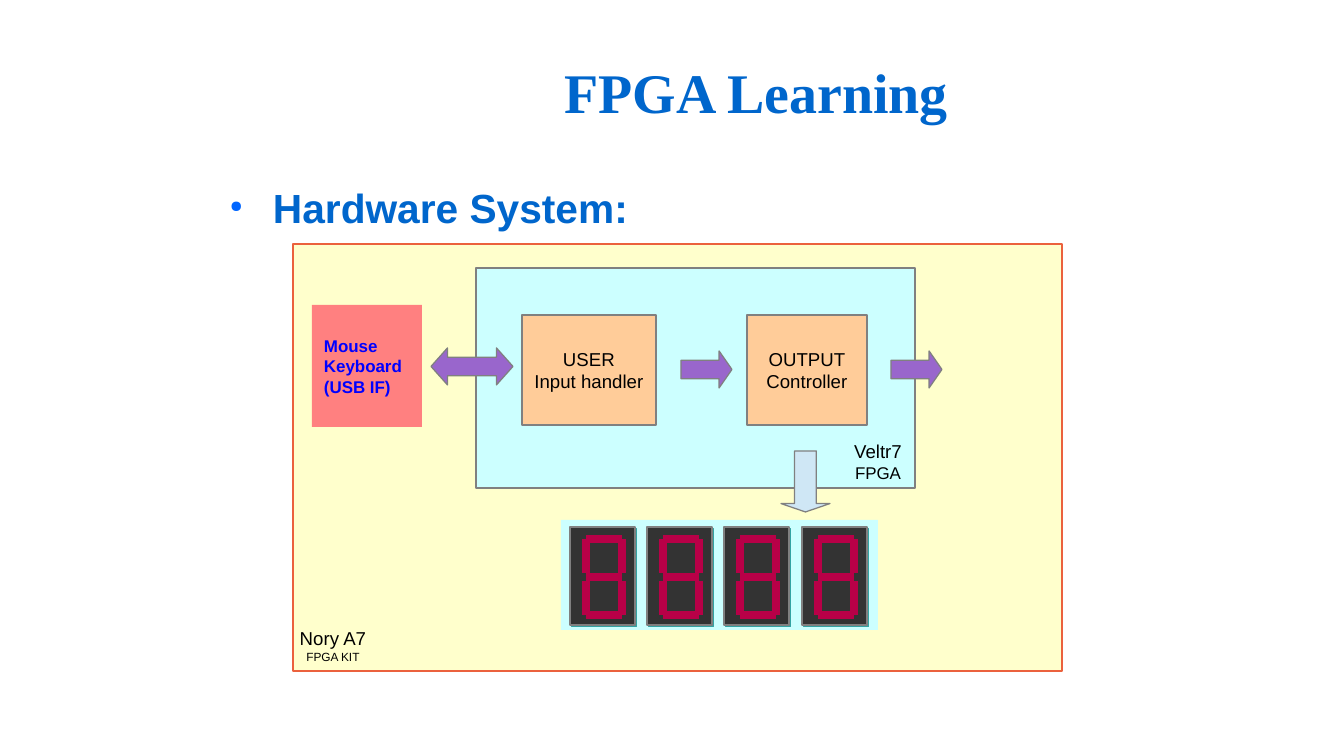
from dataclasses import dataclass

from lxml.etree import SubElement
from pptx import Presentation
from pptx.dml.color import RGBColor
from pptx.enum.shapes import MSO_CONNECTOR, MSO_SHAPE
from pptx.enum.text import MSO_ANCHOR, PP_ALIGN
from pptx.oxml.ns import qn
from pptx.shapes.autoshape import Shape
from pptx.shapes.shapetree import GroupShapes, SlideShapes
from pptx.util import Emu, Pt

EMU_PER_PX = 7495
PURPLE = "9966CC"
GREY = "808080"
CYAN = "CCFFFF"
ORANGE = "FFCC99"
TITLE_BLUE = "0066CC"
RECT = MSO_SHAPE.RECTANGLE


@dataclass
class Span:
    text: str
    size: int
    color: str = "000000"
    bold: bool = False
    font: str = "Arial"


@dataclass
class Box:
    left: int
    top: int
    width: int
    height: int
    fill: str
    line: str | None = GREY
    line_width: float = 0
    kind: MSO_SHAPE = RECT
    adjustments: tuple[float, ...] = ()
    spans: tuple[Span, ...] = ()
    align: PP_ALIGN = PP_ALIGN.CENTER


@dataclass
class Label:
    left: int
    top: int
    width: int
    height: int
    spans: tuple[Span, ...]
    align: PP_ALIGN = PP_ALIGN.CENTER
    anchor: MSO_ANCHOR = MSO_ANCHOR.TOP
    inset_x: int = 12
    inset_y: int = 6


def px(length: int) -> Emu:
    return Emu(length * EMU_PER_PX)


def rgb(color: str) -> RGBColor:
    return RGBColor.from_string(color)


def write_text(shape: Shape, spans: tuple[Span, ...], align: PP_ALIGN,
               anchor: MSO_ANCHOR, inset_x: int, inset_y: int, wrap: bool) -> None:
    frame = shape.text_frame
    frame.word_wrap = wrap
    frame.vertical_anchor = anchor
    frame.margin_left = frame.margin_right = px(inset_x)
    frame.margin_top = frame.margin_bottom = px(inset_y)
    for index, span in enumerate(spans):
        para = frame.add_paragraph() if index else frame.paragraphs[0]
        para.alignment = align
        run = para.add_run()
        run.text = span.text
        run.font.name = span.font
        run.font.size = Pt(span.size)
        run.font.bold = span.bold
        run.font.color.rgb = rgb(span.color)


def draw_box(shapes: SlideShapes | GroupShapes, box: Box) -> Shape:
    shape = shapes.add_shape(box.kind, px(box.left), px(box.top), px(box.width), px(box.height))
    shape.shadow.inherit = False
    shape.fill.solid()
    shape.fill.fore_color.rgb = rgb(box.fill)
    if box.line:
        shape.line.color.rgb = rgb(box.line)
        shape.line.width = Pt(box.line_width)
    else:
        shape.line.fill.background()
    for index, value in enumerate(box.adjustments):
        shape.adjustments[index] = value
    if box.spans:
        write_text(shape, box.spans, box.align, MSO_ANCHOR.MIDDLE, 12, 6, False)
    return shape


def draw_label(shapes: SlideShapes, label: Label) -> Shape:
    shape = shapes.add_textbox(px(label.left), px(label.top), px(label.width), px(label.height))
    write_text(shape, label.spans, label.align, label.anchor, label.inset_x, label.inset_y, True)
    return shape


def add_bullet(shape: Shape) -> None:
    para = shape.text_frame.paragraphs[0]
    para.space_after = Pt(10.6)
    properties = para._p.get_or_add_pPr()
    properties.set("marL", str(px(57)))
    properties.set("indent", str(px(-43)))
    color = SubElement(properties, qn("a:buClr"))
    SubElement(color, qn("a:srgbClr"), val="0066FF")
    SubElement(properties, qn("a:buSzPct"), val="40000")
    SubElement(properties, qn("a:buChar"), char="●")


def add_hard_shadow(shape: Shape) -> None:
    effects = shape._element.spPr.find(qn("a:effectLst"))
    shadow = SubElement(effects, qn("a:outerShdw"), blurRad="0", dist=str(Pt(1.4)), dir="2700000")
    SubElement(shadow, qn("a:srgbClr"), val="33A3A3")


def draw_digit(shapes: GroupShapes, left: int, top: int) -> None:
    add_hard_shadow(draw_box(shapes, Box(left, top, 65, 98, "333333")))
    near, far = 16, 52
    bars = [(near, y, far, y) for y in (12, 50, 88)]
    posts = [(x, start, x, end) for start, end in ((12, 46), (54, 88)) for x in (near, far)]
    for x1, y1, x2, y2 in bars + posts:
        segment = shapes.add_connector(MSO_CONNECTOR.STRAIGHT, px(left + x1), px(top + y1),
                                       px(left + x2), px(top + y2))
        segment.line.color.rgb = rgb("B80047")
        segment.line.width = Pt(4.5)
        SubElement(segment._element.spPr, qn("a:effectLst"))


def output_arrow(left: int) -> Box:
    return Box(left, 351, 51, 37, PURPLE, kind=MSO_SHAPE.RIGHT_ARROW, adjustments=(0.5, 0.348))


def main() -> None:
    deck = Presentation()
    deck.slide_width, deck.slide_height = px(1344), px(756)
    page = deck.slides.add_slide(deck.slide_layouts[6])
    shapes = page.shapes

    draw_box(shapes, Box(293, 244, 769, 427, "FFFFCC", "EB613D", 1.5))
    draw_label(shapes, Label(
        216, 29, 1081, 124,
        (Span("FPGA Learning", 33, TITLE_BLUE, True, "Times New Roman"),),
        anchor=MSO_ANCHOR.MIDDLE, inset_x=0, inset_y=0))
    add_bullet(draw_label(shapes, Label(
        216, 183, 1081, 439, (Span("Hardware System:", 24, TITLE_BLUE, True),),
        align=PP_ALIGN.LEFT, inset_x=0, inset_y=0)))

    usb_lines = tuple(Span(text, 10, "0000FF", True) for text in ("Mouse", "Keyboard", "(USB IF)"))
    boxes = [
        Box(476, 268, 439, 220, CYAN),
        Box(312, 305, 110, 122, "FF8080", None, spans=usb_lines, align=PP_ALIGN.LEFT),
        Box(747, 315, 120, 110, ORANGE, spans=(Span("OUTPUT", 11), Span("Controller", 11))),
        Box(431, 348, 82, 37, PURPLE, kind=MSO_SHAPE.LEFT_RIGHT_ARROW, adjustments=(0.5, 0.446)),
        Box(522, 315, 134, 110, ORANGE, spans=(Span("USER", 11), Span("Input handler", 11))),
        output_arrow(681),
        output_arrow(891),
        Box(781, 451, 49, 61, "CFE7F5", kind=MSO_SHAPE.DOWN_ARROW, adjustments=(0.447, 0.171)),
    ]
    for box in boxes:
        draw_box(shapes, box)
    draw_label(shapes, Label(287, 621, 92, 46, (Span("Nory A7", 11), Span("FPGA KIT", 7))))
    draw_label(shapes, Label(832, 434, 92, 54, (Span("Veltr7", 11), Span("FPGA", 10))))

    display = shapes.add_group_shape().shapes
    draw_box(display, Box(561, 520, 317, 110, CYAN, None))
    for index in range(4):
        draw_digit(display, 570 + 232 * index // 3, 527)

    deck.save("out.pptx")


if __name__ == "__main__":
    main()
